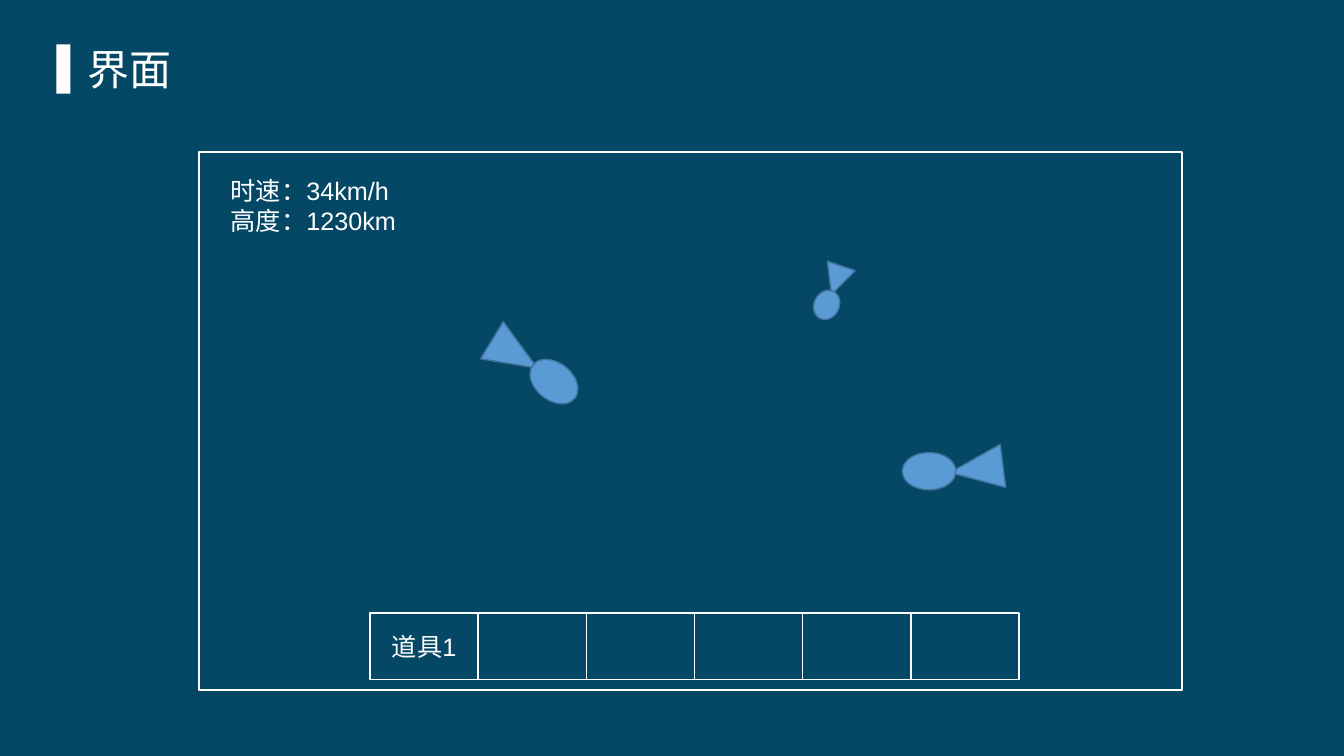
import pptx
import pptx.util
import pptx.dml.color
import pptx.enum.shapes
import pptx.enum.text

COLORS = {
    "sea": "054865",
    "white": "FFFFFF",
    "fish": "5B9BD5",
    "fish_edge": "43739E",
}
FONT = "Arial"
WIDTH = pptx.util.Inches(13.33)
HEIGHT = pptx.util.Inches(7.5)
SHAPES = pptx.enum.shapes.MSO_SHAPE
ALIGN = pptx.enum.text.PP_ALIGN
ANCHOR = pptx.enum.text.MSO_ANCHOR

SLOT_LABELS = ["道具1", "", "", "", "", ""]
SLOT_LEFT, SLOT_TOP, SLOT_WIDTH, SLOT_HEIGHT = 27.53, 81.07, 8.05, 8.8

FISH = [
    ((71.04, 58.53, 3.23, 7.07), 262.8, (67.14, 59.87, 3.98, 4.93), 0),
    ((36.68, 43.33, 3.23, 7.07), 121.5, (39.23, 48, 3.98, 4.93), 218.7),
    ((61.14, 35.07, 2.18, 4), 198.8, (60.39, 38.67, 2.25, 3.33), 296.1),
]


def color(name):
    return pptx.dml.color.RGBColor.from_string(COLORS[name])


def percent_box(left, top, width, height):
    return (
        round(WIDTH * left / 100),
        round(HEIGHT * top / 100),
        round(WIDTH * width / 100),
        round(HEIGHT * height / 100),
    )


def add_figure(shapes, kind, area, fill=None, line=None, line_width=1, rotation=0):
    figure = shapes.add_shape(kind, *percent_box(*area))
    figure.shadow.inherit = False
    figure.rotation = rotation
    if fill:
        figure.fill.solid()
        figure.fill.fore_color.rgb = color(fill)
    else:
        figure.fill.background()
    if line:
        figure.line.color.rgb = color(line)
        figure.line.width = pptx.util.Pt(line_width)
    else:
        figure.line.fill.background()
    return figure


def write_text(box, lines, size, align=ALIGN.LEFT, anchor=ANCHOR.TOP):
    frame = box.text_frame
    frame.word_wrap = True
    frame.auto_size = pptx.enum.text.MSO_AUTO_SIZE.NONE
    frame.vertical_anchor = anchor
    frame.text = "\n".join(lines)
    for para in frame.paragraphs:
        para.alignment = align
        para.font.name = FONT
        para.font.size = pptx.util.Pt(size)
        para.font.color.rgb = color("white")


def add_title(page):
    title = page.shapes.title
    title.left, title.top, title.width, title.height = percent_box(5.78, 5.07, 15.83, 8.13)
    write_text(title, ["界面"], 30)
    add_figure(page.shapes, SHAPES.RECTANGLE, (4.2, 5.87, 1.05, 6.53), fill="white")


def add_readout(page):
    box = page.shapes.add_textbox(*percent_box(16.43, 22.53, 20.03, 9.47))
    write_text(box, ["时速：34km/h", "高度：1230km"], 18)


def add_slots(page):
    for column, label in enumerate(SLOT_LABELS):
        area = (SLOT_LEFT + column * SLOT_WIDTH, SLOT_TOP, SLOT_WIDTH, SLOT_HEIGHT)
        slot = add_figure(page.shapes, SHAPES.RECTANGLE, area, line="white")
        if label:
            write_text(slot, [label], 18, ALIGN.CENTER, ANCHOR.MIDDLE)


def add_fish(page, tail_area, tail_turn, body_area, body_turn):
    fish = page.shapes.add_group_shape()
    add_figure(fish.shapes, SHAPES.ISOSCELES_TRIANGLE, tail_area,
               "fish", "fish_edge", rotation=tail_turn)
    add_figure(fish.shapes, SHAPES.OVAL, body_area,
               "fish", "fish_edge", rotation=body_turn)


def main():
    deck = pptx.Presentation()
    deck.slide_width, deck.slide_height = WIDTH, HEIGHT
    page = deck.slides.add_slide(deck.slide_layouts.get_by_name("Title Only"))
    page.background.fill.solid()
    page.background.fill.fore_color.rgb = color("sea")
    add_title(page)
    add_figure(page.shapes, SHAPES.RECTANGLE, (14.78, 20.13, 73.14, 71.2),
               line="white", line_width=1.5)
    add_readout(page)
    add_slots(page)
    for parts in FISH:
        add_fish(page, *parts)
    deck.save("out.pptx")


if __name__ == "__main__":
    main()
